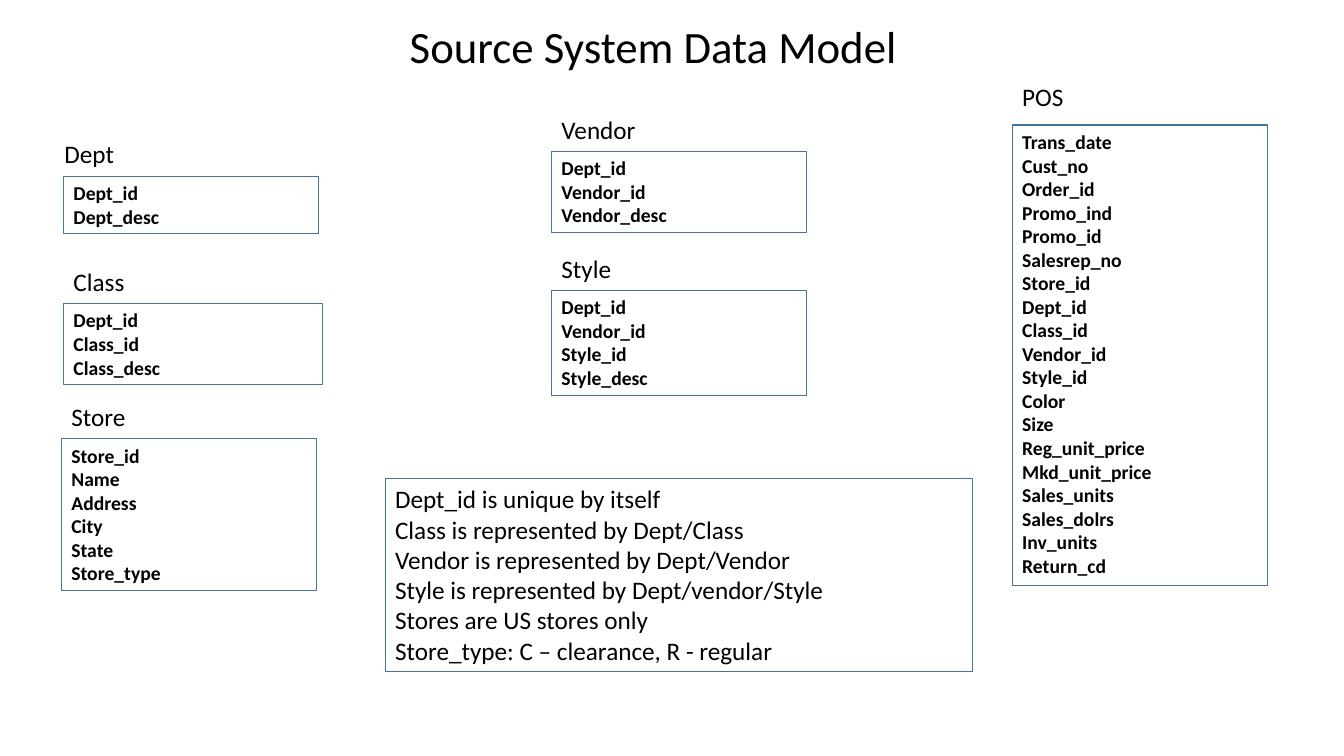
from pptx import Presentation
from pptx.dml.color import RGBColor
from pptx.enum.shapes import MSO_SHAPE
from pptx.enum.text import MSO_ANCHOR, MSO_AUTO_SIZE, PP_ALIGN
from pptx.util import Inches, Pt

RECTANGLE = MSO_SHAPE.RECTANGLE
TOP = MSO_ANCHOR.TOP
FIT_SHAPE = MSO_AUTO_SIZE.SHAPE_TO_FIT_TEXT
LEFT, CENTER = PP_ALIGN.LEFT, PP_ALIGN.CENTER

FONT = "Calibri"
BLACK, BLUE = "000000", "43739E"
TITLE_SIZE, LABEL_SIZE, FIELD_SIZE = 32, 18, 14
LINE_FACTOR, PADDING = 1.21, 0.1
ENTITY_WIDTH, LABEL_WIDTH, LABEL_HEIGHT = 2.53, 2.29, 0.42

# name, left, top, width, label shift right, label shift up, fields
ENTITIES = [
    ("Dept", 0.63, 1.75, ENTITY_WIDTH, -0.09, 0.01, "Dept_id Dept_desc"),
    ("Class", 0.63, 3.01, 2.57, 0, 0, "Dept_id Class_id Class_desc"),
    ("Vendor", 5.47, 1.5, ENTITY_WIDTH, 0, 0, "Dept_id Vendor_id Vendor_desc"),
    ("Style", 5.47, 2.88, ENTITY_WIDTH, 0, 0,
     "Dept_id Vendor_id Style_id Style_desc"),
    ("Store", 0.61, 4.35, ENTITY_WIDTH, 0, 0,
     "Store_id Name Address City State Store_type"),
    ("POS", 10.04, 1.24, ENTITY_WIDTH, 0, 0.06,
     "Trans_date Cust_no Order_id Promo_ind Promo_id Salesrep_no Store_id "
     "Dept_id Class_id Vendor_id Style_id Color Size Reg_unit_price "
     "Mkd_unit_price Sales_units Sales_dolrs Inv_units Return_cd"),
]

RULES = [
    "Dept_id is unique by itself",
    "Class is represented by Dept/Class",
    "Vendor is represented by Dept/Vendor",
    "Style is represented by Dept/vendor/Style",
    "Stores are US stores only",
    "Store_type: C – clearance, R - regular",
]


def color(value):
    """Turn a hex string into a colour."""
    return RGBColor.from_string(value)


def text_height(count, size):
    """Return the height in inches of a box holding count lines."""
    return PADDING + count * size * LINE_FACTOR / 72


def write_lines(box, lines, size, bold=False, align=LEFT):
    """Fill a box with one paragraph per line."""
    frame = box.text_frame
    frame.word_wrap = True
    frame.auto_size = FIT_SHAPE
    frame.vertical_anchor = TOP
    frame.text = "\n".join(lines)
    for para in frame.paragraphs:
        para.alignment = align
        para.font.name = FONT
        para.font.size = Pt(size)
        para.font.bold = bold
        para.font.color.rgb = color(BLACK)


def add_text(page, left, top, width, height, text, size, align=LEFT):
    """Add a single line of plain text."""
    box = page.shapes.add_textbox(
        Inches(left), Inches(top), Inches(width), Inches(height))
    write_lines(box, [text], size, align=align)


def add_list_box(page, left, top, width, lines, size, bold=False):
    """Add an outlined rectangle as tall as its lines."""
    box = page.shapes.add_shape(
        RECTANGLE, Inches(left), Inches(top), Inches(width),
        Inches(text_height(len(lines), size)))
    box.shadow.inherit = False
    box.fill.background()
    box.line.color.rgb = color(BLUE)
    box.line.width = Pt(0.75)
    write_lines(box, lines, size, bold)


def add_entity(page, name, left, top, width, shift_right, shift_up, fields):
    """Add an entity's field box with its name above."""
    add_list_box(page, left, top, width, fields.split(), FIELD_SIZE, True)
    add_text(page, left + shift_right, top - LABEL_HEIGHT - shift_up,
             LABEL_WIDTH, LABEL_HEIGHT, name, LABEL_SIZE)


def build_data_model(page):
    """Place the title, the entities and the key rules."""
    add_text(page, 3.6, 0.14, 5.76, text_height(1, TITLE_SIZE),
             "Source System Data Model", TITLE_SIZE, CENTER)
    for entity in ENTITIES:
        add_entity(page, *entity)
    add_list_box(page, 3.82, 4.75, 5.83, RULES, LABEL_SIZE)


def main():
    """Build and save the deck."""
    deck = Presentation()
    deck.slide_width, deck.slide_height = Inches(13.33), Inches(7.5)
    build_data_model(deck.slides.add_slide(deck.slide_layouts[6]))
    deck.save("out.pptx")


if __name__ == "__main__":
    main()
